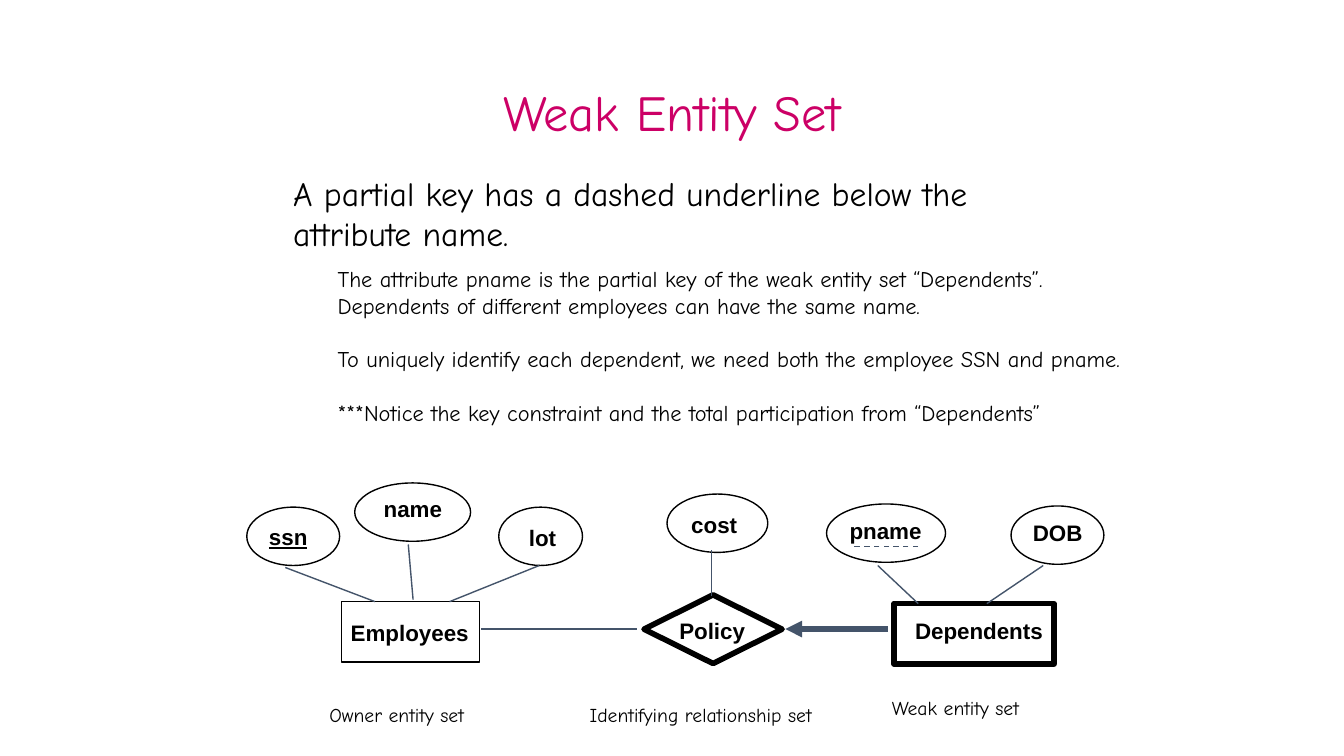
from dataclasses import dataclass

from pptx import Presentation
from pptx.dml.color import RGBColor
from pptx.enum.dml import MSO_LINE
from pptx.enum.shapes import MSO_CONNECTOR, MSO_SHAPE
from pptx.enum.text import MSO_ANCHOR, MSO_AUTO_SIZE, PP_ALIGN
from pptx.oxml.ns import qn
from pptx.slide import Slide
from pptx.text.text import TextFrame
from pptx.util import Cm, Pt
from lxml.etree import SubElement

BLACK, SLATE, PINK = "000000", "44546A", "CC0066"
SANS, COMIC = "Arial", "Comic Neue"


@dataclass
class Node:
    """An outlined diagram part and the place of its label, in cm."""
    name: str
    kind: MSO_SHAPE
    box: tuple[float, float, float, float]
    label: tuple[float, float, float]
    weight: float = 1
    under: bool = False


@dataclass
class Link:
    """A line between two points, in cm."""
    start: tuple[float, float]
    end: tuple[float, float]
    weight: float = 1
    dash: bool = False
    arrow: bool = False


@dataclass
class Note:
    """A block of plain text, in cm."""
    text: str
    box: tuple[float, float, float, float]
    size: float
    wrap: bool = True
    gap: float = 0


OVAL, RECT, GEM = MSO_SHAPE.OVAL, MSO_SHAPE.RECTANGLE, MSO_SHAPE.DIAMOND

NODES = [
    Node("ssn", OVAL, (6.22, 12.78, 2.34, 1.47), (6.53, 13.06, 1.5), under=True),
    Node("name", OVAL, (8.94, 12.17, 2.92, 1.47), (9.42, 12.34, 2.01)),
    Node("lot", OVAL, (12.57, 12.78, 2.11, 1.47), (13.08, 13.08, 1.22)),
    Node("cost", OVAL, (16.81, 12.45, 2.54, 1.47), (17.17, 12.75, 1.68)),
    Node("pname", OVAL, (20.83, 12.7, 3, 1.47), (21.16, 12.9, 2.34)),
    Node("DOB", OVAL, (25.48, 12.75, 2.34, 1.47), (25.78, 12.95, 1.78)),
    Node("Employees", RECT, (8.61, 15.16, 3.48, 1.52), (8.59, 15.47, 3.51)),
    Node("Policy", GEM, (16.23, 14.99, 3.48, 1.73), (16.87, 15.42, 2.18), 4),
    Node("Dependents", RECT, (22.53, 15.21, 4.03, 1.52), (22.81, 15.42, 3.76), 4),
]

LINKS = [
    Link((23.14, 13.77), (21.44, 13.77), dash=True),
    Link((10.29, 13.72), (10.41, 15.11)),
    Link((7.19, 14.3), (9.45, 15.16)),
    Link((13.59, 14.25), (11.33, 15.16)),
    Link((17.93, 15.01), (17.93, 13.87)),
    Link((22.12, 14.25), (23.14, 15.21)),
    Link((26.29, 14.25), (24.87, 15.21)),
    Link((16.05, 15.85), (12.12, 15.85)),
    Link((19.79, 15.85), (22.38, 15.85), 4, arrow=True),
]

NOTES = [
    Note("Owner entity set", (8.05, 17.58, 4.45, 0.84), 14, False),
    Note("Weak entity set", (22.23, 17.42, 4.24, 0.84), 14, False),
    Note("Identifying relationship set", (14.61, 17.58, 6.88, 0.84), 14, False),
    Note("The attribute pname is the partial key of the weak entity set “Dependents”. "
         "Dependents of different employees can have the same name.\n"
         "To uniquely identify each dependent, we need both the employee SSN and pname.\n"
         "***Notice the key constraint and the total participation from “Dependents”",
         (8.26, 6.55, 20.45, 5.03), 16, gap=19.2),
    Note("A partial key has a dashed underline below the attribute name.",
         (7.14, 4.22, 20.45, 2.31), 24),
]


def paint(code: str) -> RGBColor:
    """Turn a hex string into a colour."""
    return RGBColor.from_string(code)


def style(frame: TextFrame, font: str, size: float, code: str, bold: bool = False) -> None:
    """Format every run of a text frame."""
    for para in frame.paragraphs:
        for run in para.runs:
            run.font.name = font
            run.font.size = Pt(size)
            run.font.bold = bold
            run.font.color.rgb = paint(code)


def add_text(slide: Slide, text: str, box: tuple[float, ...], wrap: bool) -> TextFrame:
    """Add a text box that grows with its text."""
    frame = slide.shapes.add_textbox(*map(Cm, box)).text_frame
    frame.text = text
    frame.word_wrap = wrap
    frame.auto_size = MSO_AUTO_SIZE.SHAPE_TO_FIT_TEXT
    return frame


def add_node(slide: Slide, node: Node) -> None:
    """Draw an outline and its bold label."""
    shape = slide.shapes.add_shape(node.kind, *map(Cm, node.box))
    shape.shadow.inherit = False
    shape.fill.background()
    shape.line.color.rgb = paint(BLACK)
    shape.line.width = Pt(node.weight)
    frame = add_text(slide, node.name, (*node.label, 0.94), False)
    style(frame, SANS, 16, BLACK, True)
    if node.under:
        frame.paragraphs[0].runs[0].font.underline = True


def add_link(slide: Slide, link: Link) -> None:
    """Draw a line, dashed or with an arrowhead at its start if asked."""
    ends = map(Cm, (*link.start, *link.end))
    wire = slide.shapes.add_connector(MSO_CONNECTOR.STRAIGHT, *ends)
    wire.line.color.rgb = paint(SLATE)
    wire.line.width = Pt(link.weight)
    if link.dash:
        wire.line.dash_style = MSO_LINE.DASH
    if link.arrow:
        SubElement(wire.line._get_or_add_ln(), qn("a:headEnd"), type="triangle")
    SubElement(wire._element.spPr, qn("a:effectLst"))


def add_note(slide: Slide, note: Note) -> None:
    """Write a note with a gap between its paragraphs."""
    frame = add_text(slide, note.text, note.box, note.wrap)
    style(frame, COMIC, note.size, BLACK)
    for para in frame.paragraphs[1:]:
        para.space_before = Pt(note.gap)


def set_title(slide: Slide) -> None:
    """Place and format the title."""
    title = slide.shapes.title
    title.left, title.top, title.width, title.height = map(Cm, (6.15, 1.27, 21.59, 3.07))
    frame = title.text_frame
    frame.text = "Weak Entity Set"
    frame.vertical_anchor = MSO_ANCHOR.MIDDLE
    frame.paragraphs[0].alignment = PP_ALIGN.CENTER
    style(frame, COMIC, 36, PINK)


def main() -> None:
    """Build the slide and save it."""
    deck = Presentation()
    deck.slide_width, deck.slide_height = Cm(33.87), Cm(19.05)
    slide = deck.slides.add_slide(deck.slide_layouts[5])
    set_title(slide)
    for node in NODES:
        add_node(slide, node)
    for link in LINKS:
        add_link(slide, link)
    for note in NOTES:
        add_note(slide, note)
    deck.save("out.pptx")


if __name__ == "__main__":
    main()
